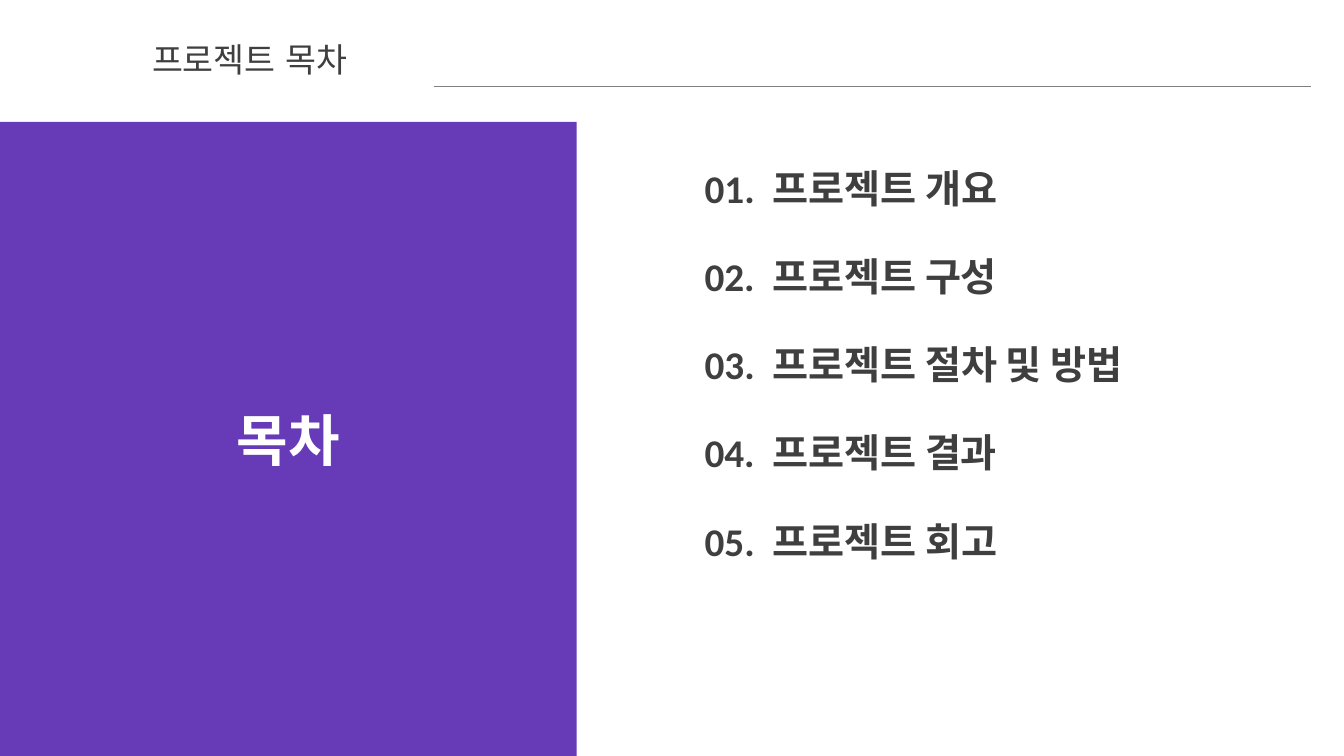
from lxml.etree import SubElement
from pptx import Presentation
from pptx.dml.color import RGBColor as Rgb
from pptx.enum.lang import MSO_LANGUAGE_ID as Lang
from pptx.enum.shapes import MSO_CONNECTOR as Link, MSO_SHAPE as Shape
from pptx.enum.text import MSO_ANCHOR as Anchor, MSO_AUTO_SIZE as Fit, PP_ALIGN as Align
from pptx.oxml.ns import qn
from pptx.util import Pt

PX = 9144
theme = {
    "dark": Rgb.from_string("3F3F3F"),
    "gray": Rgb.from_string("7F7F7F"),
    "purple": Rgb.from_string("673AB7"),
    "white": Rgb.from_string("FFFFFF"),
    "item": {"name": "Calibri", "size": Pt(28), "bold": True},
    "panel": {"name": "Arial", "size": Pt(40), "bold": True},
    "head": {"name": "Arial", "size": Pt(24), "bold": False},
    "gap": "630",
}


def px(*nums):
    return [num * PX for num in nums]


def write(shape, parts, style, color, pad, fit):
    frame = shape.text_frame
    form = {"word_wrap": True, "auto_size": fit, "margin_left": 10 * PX,
            "margin_right": 10 * PX, "margin_top": pad * PX, "margin_bottom": pad * PX}
    for key, value in form.items():
        setattr(frame, key, value)
    for part in parts:
        run = frame.paragraphs[0].add_run()
        run.text = part
        for key, value in theme[style].items():
            setattr(run.font, key, value)
        run.font.language_id = Lang.KOREAN
        run.font.color.rgb = theme[color]
        props = run._r.get_or_add_rPr()
        SubElement(props, qn("a:ea")).set("typeface", theme[style]["name"])
        if part == " ":
            props.set("spc", theme["gap"])


deck = Presentation()
deck.slide_width, deck.slide_height = px(1333, 750)
slide = deck.slides.add_slide(deck.slide_layouts[6])
shapes = slide.shapes

items = [
    ("프로젝트 개요", 402),
    ("프로젝트 구성", 543),
    ("프로젝트 절차 및 방법", 579),
    ("프로젝트 결과", 490),
    ("프로젝트 회고", 351),
]
for row, (title, width) in enumerate(items):
    box = shapes.add_textbox(*px(689, 163 + row * 175 // 2, width, 47))
    write(box, [f"{row + 1:02}.", " ", title], "item", "dark", 0, Fit.SHAPE_TO_FIT_TEXT)

panel = shapes.add_shape(Shape.RECTANGLE, *px(0, 121, 572, 629))
panel.shadow.inherit = False
panel.fill.solid()
panel.fill.fore_color.rgb = theme["purple"]
panel.line.fill.background()
write(panel, ["목차"], "panel", "white", 5, Fit.NONE)
panel.text_frame.vertical_anchor = Anchor.MIDDLE
panel.text_frame.paragraphs[0].alignment = Align.CENTER

rule = shapes.add_connector(Link.STRAIGHT, *px(430, 86, 1300, 86))
rule.line.color.rgb = theme["gray"]
rule.line.width = Pt(1)
SubElement(rule._element.spPr, qn("a:effectLst"))

head = shapes.add_textbox(*px(141, 34, 331, 50))
write(head, ["프로젝트 목차"], "head", "dark", 5, Fit.SHAPE_TO_FIT_TEXT)

deck.save("out.pptx")
